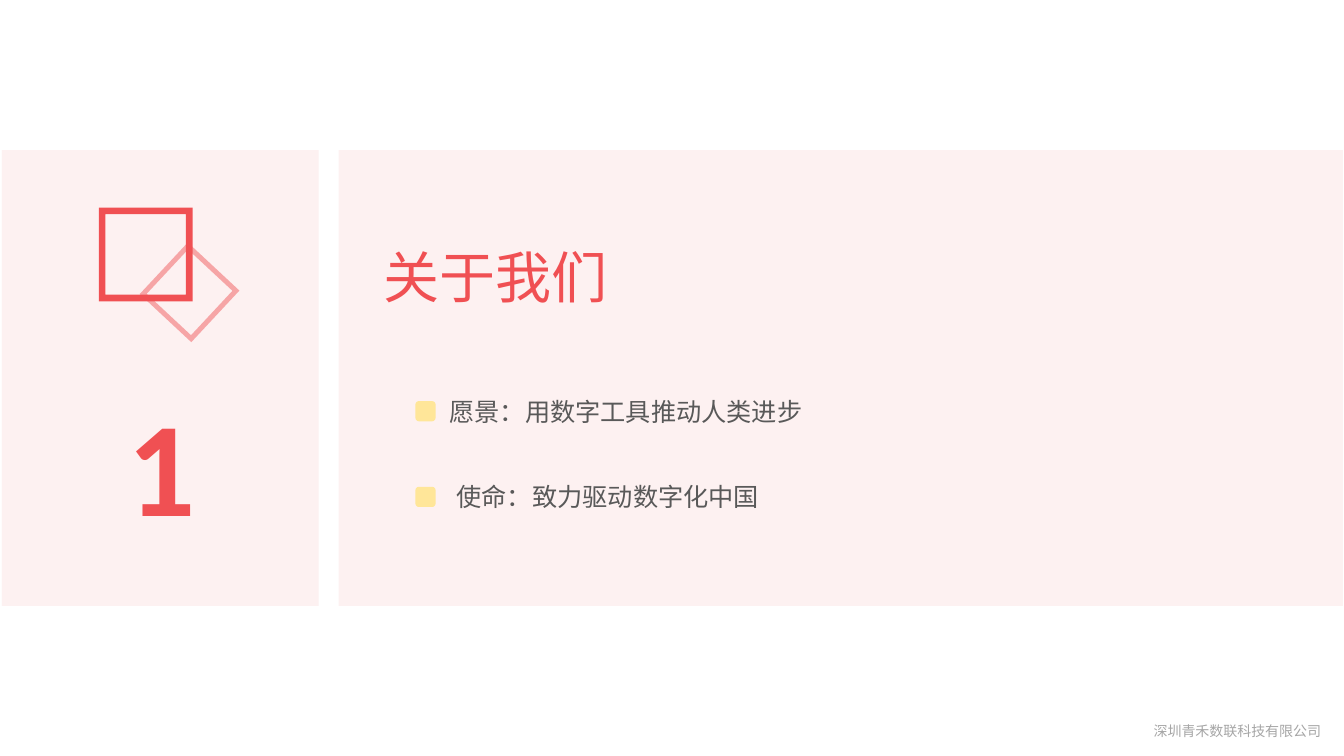
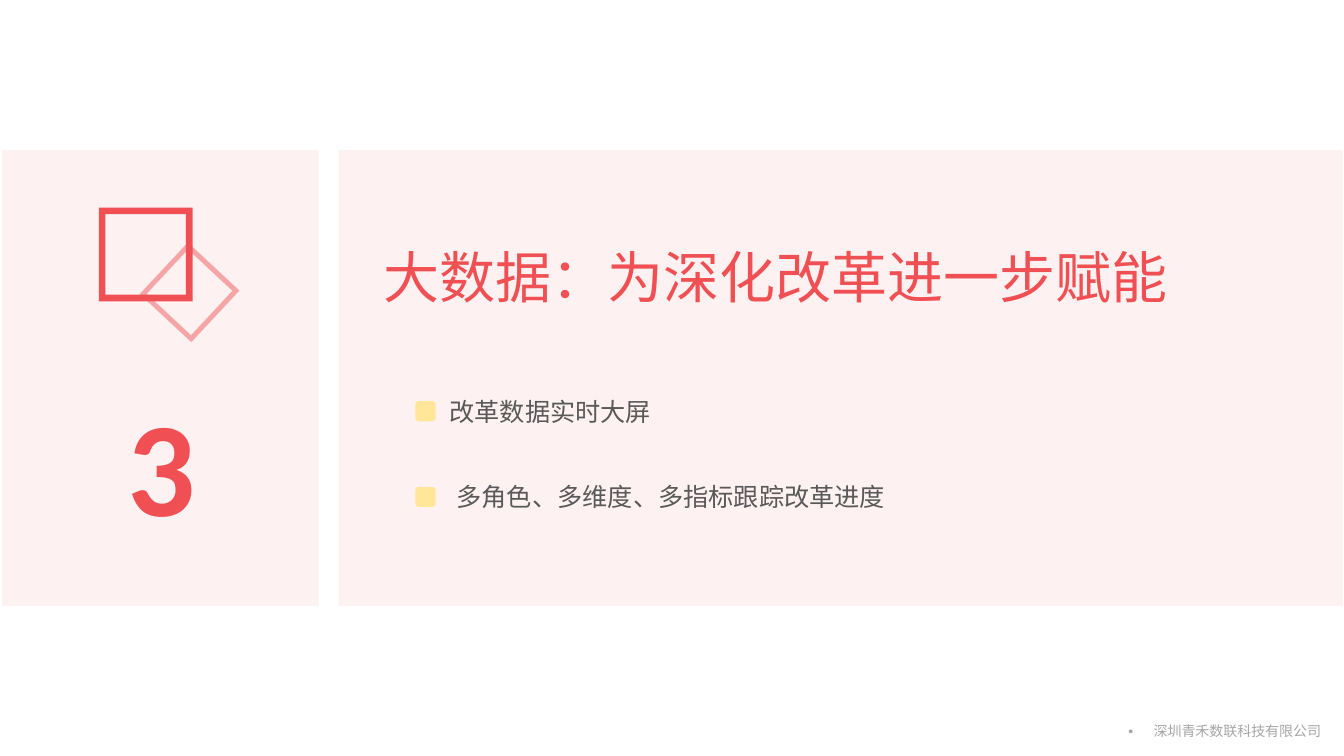
from lxml import etree
from pptx import Presentation
from pptx import util as u
from pptx.dml.color import RGBColor
from pptx.enum import shapes, text
from pptx.oxml.ns import qn

HUES = {"red": "F05053", "white": "FFFFFF", "gold": "FFE699",
        "body": "595959", "foot": "A6A6A6"}
SANS = "Noto Sans CJK SC"
KIND = shapes.MSO_SHAPE
SIDE = text.PP_ALIGN
MID = text.MSO_ANCHOR.MIDDLE
GROW = text.MSO_AUTO_SIZE.SHAPE_TO_FIT_TEXT

STYLES = {
    "title": {"font": {"size": u.Pt(40), "name": SANS}, "hue": "red",
              "frame": {"vertical_anchor": MID}, "para": {}},
    "number": {"font": {"size": u.Pt(96), "name": "Calibri", "bold": True},
               "hue": "red", "frame": {"auto_size": GROW},
               "para": {"alignment": SIDE.CENTER}},
    "item": {"font": {"size": u.Pt(18), "name": "Calibri"}, "hue": "body",
             "frame": {"auto_size": GROW}, "para": {}},
    "footer": {"font": {"size": u.Pt(10), "name": SANS}, "hue": "foot",
               "frame": {"vertical_anchor": MID},
               "para": {"alignment": SIDE.RIGHT, "line_spacing": 0.9,
                        "space_before": u.Pt(10)}},
}


def assign(target, values):
    for name, value in values.items():
        setattr(target, name, value)


class Deck:
    def __init__(self):
        self.prs = Presentation()
        assign(self.prs, {"slide_width": u.Inches(13.33),
                          "slide_height": u.Inches(7.5)})
        self.slide = None

    def page(self):
        self.slide = self.prs.slides.add_slide(self.prs.slide_layouts[6])

    def shape(self, kind, box, hue, alpha=None, turn=0, adjust=None):
        item = self.slide.shapes.add_shape(kind, *map(u.Inches, box))
        item.shadow.inherit = False
        item.line.fill.background()
        item.fill.solid()
        item.fill.fore_color.rgb = RGBColor.from_string(HUES[hue])
        item.rotation = turn
        if adjust is not None:
            item.adjustments[0] = adjust
        if alpha is not None:
            color = item._element.spPr.find(".//" + qn("a:srgbClr"))
            etree.SubElement(color, qn("a:alpha"), val=str(alpha * 1000))

    def label(self, words, box, style, bullet=False):
        look = STYLES[style]
        area = self.slide.shapes.add_textbox(*map(u.Inches, box))
        frame = area.text_frame
        assign(frame, {"word_wrap": True, **look["frame"]})
        para = frame.paragraphs[0]
        assign(para, look["para"])
        run = para.add_run()
        run.text = words
        assign(run.font, look["font"])
        run.font.color.rgb = RGBColor.from_string(HUES[look["hue"]])
        etree.SubElement(run._r.get_or_add_rPr(), qn("a:ea"), typeface=SANS)
        if bullet:
            props = para._p.get_or_add_pPr()
            indent = u.Inches(0.25)
            props.set("marL", str(indent))
            props.set("indent", str(-indent))
            etree.SubElement(props, qn("a:buFont"), typeface="Arial")
            etree.SubElement(props, qn("a:buChar"), char="•")

    def bands(self):
        self.shape(KIND.RECTANGLE, (0.02, 1.49, 13.3, 4.52), "red", alpha=8)
        self.shape(KIND.FRAME, (0.98, 2.06, 0.93, 0.93), "red", adjust=0.07)
        self.shape(KIND.FRAME, (1.53, 2.55, 0.7, 0.7), "red", alpha=47,
                   turn=313, adjust=0.07)
        self.shape(KIND.RECTANGLE, (3.16, 1.49, 0.2, 4.55), "white")

    def items(self, lines):
        for row, words in enumerate(lines):
            top = 3.88 + 0.85 * row
            self.label(words, (4.36 + 0.07 * row, top, 6.19, 0.4), "item")
            self.shape(KIND.ROUNDED_RECTANGLE, (4.12, top + 0.1, 0.2, 0.2),
                       "gold", turn=90)

    def footer(self, bullet):
        width = 2.23 if bullet else 1.94
        self.label("深圳青禾数联科技有限公司", (13.2 - width, 7.11, width, 0.31),
                   "footer", bullet)

    def section(self, number, title, lines, bullet=False):
        self.page()
        self.bands()
        self.label(title, (3.71, 1.86, 9.18, 1.76), "title")
        self.label(number, (1.14, 3.74, 0.92, 1.72), "number")
        self.items(lines)
        self.footer(bullet)


deck = Deck()
deck.section("1", "关于我们", ["愿景：用数字工具推动人类进步", "使命：致力驱动数字化中国"])
deck.section("3", "大数据：为深化改革进一步赋能",
             ["改革数据实时大屏", "多角色、多维度、多指标跟踪改革进度"], bullet=True)
deck.prs.save("out.pptx")
